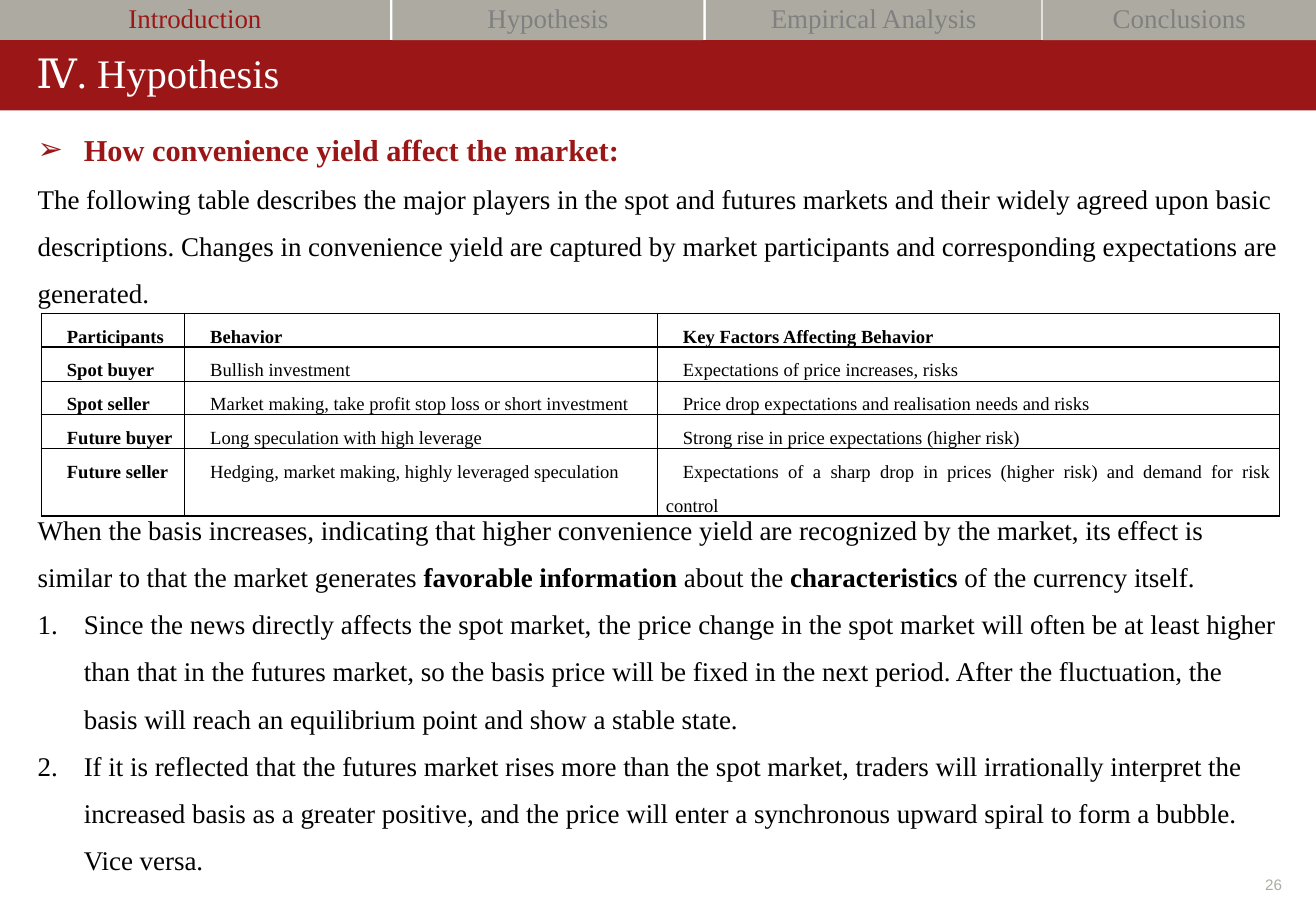
from dataclasses import dataclass

import pptx
import pptx.util
from lxml import etree
from pptx.dml.color import RGBColor
from pptx.enum.shapes import MSO_SHAPE
from pptx.enum.text import MSO_ANCHOR, MSO_AUTO_SIZE, PP_ALIGN
from pptx.oxml.ns import qn
from pptx.util import Inches

RED = RGBColor(0x9B, 0x17, 0x17)
STONE = RGBColor(0xAD, 0xAB, 0xA1)
GRAY = RGBColor(0x80, 0x80, 0x80)
BLACK = RGBColor(0, 0, 0)
WHITE = RGBColor(255, 255, 255)
SERIF = "Times New Roman"
SLIDE_WIDTH = 10.83


@dataclass
class Tab:
    label: str
    left: float
    top: float
    width: float
    color: RGBColor = GRAY


@dataclass
class Run:
    text: str
    bold: bool = False
    size: float = 16
    color: RGBColor = BLACK


@dataclass
class Block:
    runs: list[Run]
    bullet: tuple[str, str, str] | None = None  # tag, attribute, value
    space_before: float = 0


ARROW = ("a:buChar", "char", "➢")
NUMBER = ("a:buAutoNum", "type", "arabicPeriod")

TABS = [
    Tab("Introduction", 0, 0, 3.21, RED),
    Tab("Hypothesis", 3.23, -0.01, 2.56),
    Tab("Empirical Analysis", 5.81, 0, 2.76),
    Tab("Conclusions", 8.58, -0.01, 2.25),
]

BODY_LINE = 28
TABLE_GAP = 4 * BODY_LINE  # room left in the text for the table
BLOCKS = [
    Block([Run("How convenience yield affect the market:", True, 18, RED)], ARROW),
    Block([Run("The following table describes the major players in the spot and futures markets "
               "and their widely agreed upon basic descriptions. Changes in convenience yield are "
               "captured by market participants and corresponding expectations are generated.")]),
    Block([Run("When the basis increases, indicating that higher convenience yield are recognized "
               "by the market, its effect is similar to that the market generates "),
           Run("favorable information ", True),
           Run("about the "),
           Run("characteristics", True),
           Run(" of the currency itself.")], space_before=TABLE_GAP),
    Block([Run("Since the news directly affects the spot market, the price change in the spot "
               "market will often be at least higher than that in the futures market, so the basis "
               "price will be fixed in the next period. After the fluctuation, the basis will reach "
               "an equilibrium point and show a stable state.")], NUMBER),
    Block([Run("If it is reflected that the futures market rises more than the spot market, traders "
               "will irrationally interpret the increased basis as a greater positive, and the price "
               "will enter a synchronous upward spiral to form a bubble. Vice versa.")], NUMBER),
]

COLUMN_WIDTHS = [1.18, 3.89, 5.12]
ROW_HEIGHT = 0.22
ROWS = [
    ("Participants", "Behavior", "Key Factors Affecting Behavior"),
    ("Spot buyer", "Bullish investment", "Expectations of price increases, risks"),
    ("Spot seller", "Market making, take profit stop loss or short investment",
     "Price drop expectations and realisation needs and risks"),
    ("Future buyer", "Long speculation with high leverage",
     "Strong rise in price expectations (higher risk)"),
    ("Future seller", "Hedging, market making, highly leveraged speculation",
     "Expectations of a sharp drop in prices (higher risk) and demand for risk control"),
]


def add_run(paragraph, text: str, size: float, color: RGBColor,
            bold: bool = False, font: str = SERIF) -> None:
    run = paragraph.add_run()
    run.text = text
    run.font.name = font
    run.font.size = pptx.util.Pt(size)
    run.font.bold = bold
    run.font.color.rgb = color


def set_frame(frame, anchor: MSO_ANCHOR, inset: float = 0, wrap: bool = True) -> None:
    frame.auto_size = MSO_AUTO_SIZE.NONE
    frame.word_wrap = wrap
    frame.vertical_anchor = anchor
    frame.margin_left = frame.margin_right = Inches(inset)
    frame.margin_top = frame.margin_bottom = Inches(inset)


def place(shape, left: float, top: float, width: float, height: float) -> None:
    shape.left, shape.top = Inches(left), Inches(top)
    shape.width, shape.height = Inches(width), Inches(height)


def set_indent(paragraph, margin: float, first_line: float):
    properties = paragraph._p.get_or_add_pPr()
    properties.set("marL", str(Inches(margin)))
    properties.set("indent", str(Inches(first_line)))
    return properties


def add_bar(slide, left: float, top: float, width: float, height: float, color: RGBColor):
    bar = slide.shapes.add_shape(MSO_SHAPE.RECTANGLE, Inches(left), Inches(top),
                                 Inches(width), Inches(height))
    bar.shadow.inherit = False
    bar.fill.solid()
    bar.fill.fore_color.rgb = color
    bar.line.fill.background()
    return bar


def add_tab(slide, tab: Tab) -> None:
    shape = add_bar(slide, tab.left, tab.top, tab.width, 0.33 - tab.top, STONE)
    set_frame(shape.text_frame, MSO_ANCHOR.MIDDLE, 0.08)
    paragraph = shape.text_frame.paragraphs[0]
    paragraph.alignment = PP_ALIGN.CENTER
    paragraph.line_spacing = 0.9
    add_run(paragraph, tab.label, 16, tab.color)


def fill_body(body, blocks: list[Block]) -> None:
    set_frame(body.text_frame, MSO_ANCHOR.TOP)
    for index, block in enumerate(blocks):
        paragraph = body.text_frame.paragraphs[0] if index == 0 else body.text_frame.add_paragraph()
        paragraph.line_spacing = pptx.util.Pt(BODY_LINE)
        paragraph.space_before = pptx.util.Pt(block.space_before)
        hanging = 0.38 if block.bullet else 0
        properties = set_indent(paragraph, hanging, -hanging)
        if block.bullet:
            tag, attribute, value = block.bullet
            etree.SubElement(properties, qn(tag)).set(attribute, value)
        else:
            etree.SubElement(properties, qn("a:buNone"))
        for run in block.runs:
            add_run(paragraph, run.text, run.size, run.color, run.bold)


def set_borders(cell, widths: dict[str, float]) -> None:
    properties = cell._tc.get_or_add_tcPr()
    for side, width in widths.items():
        line = etree.SubElement(properties, qn(f"a:ln{side}"), w=str(pptx.util.Pt(width)))
        solid = etree.SubElement(line, qn("a:solidFill"))
        etree.SubElement(solid, qn("a:srgbClr"), val=str(BLACK))


def add_participants_table(slide) -> None:
    frame = slide.shapes.add_table(len(ROWS), len(COLUMN_WIDTHS), Inches(0.34), Inches(2.58),
                                   Inches(sum(COLUMN_WIDTHS)), Inches(ROW_HEIGHT * len(ROWS)))
    table = frame.table
    table.first_row = table.horz_banding = False
    for column, width in zip(table.columns, COLUMN_WIDTHS):
        column.width = Inches(width)
    last_row, last_column = len(ROWS) - 1, len(COLUMN_WIDTHS) - 1
    for row, texts in enumerate(ROWS):
        for column, text in enumerate(texts):
            cell = table.cell(row, column)
            cell.margin_left = cell.margin_right = Inches(0.07)
            cell.margin_top = cell.margin_bottom = 0
            # Heavier lines around the table and under the header
            set_borders(cell, {
                "L": 1 if column == 0 else 0.5,
                "R": 1 if column == last_column else 0.5,
                "T": 1 if row <= 1 else 0.5,
                "B": 1 if row in (0, last_row) else 0.5,
            })
            cell.fill.background()
            paragraph = cell.text_frame.paragraphs[0]
            paragraph.alignment = PP_ALIGN.JUSTIFY
            paragraph.line_spacing = pptx.util.Pt(20)
            set_indent(paragraph, 0, 0.14)
            add_run(paragraph, text, 11, BLACK, bold=row == 0 or column == 0)


def main() -> None:
    presentation = pptx.Presentation()
    presentation.slide_width, presentation.slide_height = Inches(SLIDE_WIDTH), Inches(7.5)
    slide = presentation.slides.add_slide(presentation.slide_layouts[1])
    title, body = slide.shapes.title, slide.placeholders[1]

    # Title on its red band
    band = add_bar(slide, 0, 0.33, SLIDE_WIDTH, 0.58, RED)
    title.element.addprevious(band.element)
    place(title, 0.3, 0.44, 10.25, 0.43)
    set_frame(title.text_frame, MSO_ANCHOR.TOP)
    heading = title.text_frame.paragraphs[0]
    heading.alignment = PP_ALIGN.LEFT
    heading.line_spacing = 0.9
    add_run(heading, "Ⅳ. Hypothesis", 24, WHITE)

    # Navigation tabs
    for tab in TABS:
        add_tab(slide, tab)

    # Body text and table
    place(body, 0.31, 0.99, 10.25, 1.45)
    fill_body(body, BLOCKS)
    add_participants_table(slide)

    # Page number
    number = slide.shapes.add_textbox(Inches(10.24), Inches(7.21), Inches(0.31), Inches(0.15))
    set_frame(number.text_frame, MSO_ANCHOR.BOTTOM, wrap=False)
    number.text_frame.paragraphs[0].alignment = PP_ALIGN.RIGHT
    add_run(number.text_frame.paragraphs[0], "26", 9, STONE, font="Arial")

    presentation.save("out.pptx")


if __name__ == "__main__":
    main()
